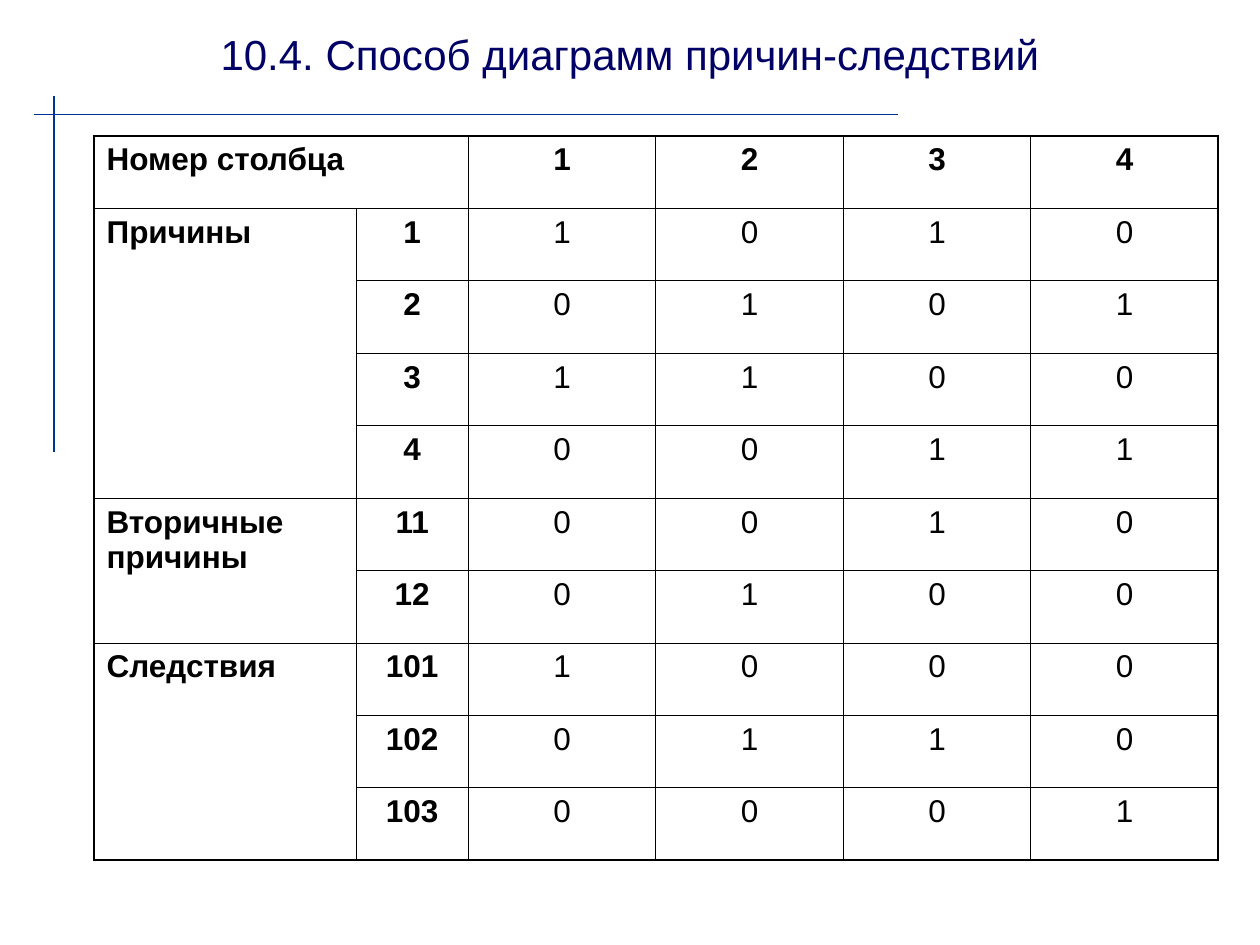
import pptx
import pptx.util
import pptx.dml.color
import pptx.enum.shapes
import pptx.enum.text
import pptx.oxml
import pptx.oxml.ns

Cm = pptx.util.Cm
Pt = pptx.util.Pt
RGBColor = pptx.dml.color.RGBColor
Align = pptx.enum.text.PP_ALIGN
Anchor = pptx.enum.text.MSO_ANCHOR

NAVY = RGBColor(0x00, 0x00, 0x66)
BLUE = RGBColor(0x00, 0x33, 0x99)
BLACK = RGBColor(0x00, 0x00, 0x00)

FONT = "Arial"
THIN, THICK = 0.45, 1.08
WIDTHS = [5.28, 2.26] + [3.78] * 4
ROW_HIGH = 1.46

HEAD = ("Номер столбца", ["1", "2", "3", "4"])
GROUPS = [
    ("Причины", [("1", "1010"), ("2", "0101"), ("3", "1100"), ("4", "0011")]),
    ("Вторичные причины", [("11", "0010"), ("12", "0100")]),
    ("Следствия", [("101", "1000"), ("102", "0110"), ("103", "0001")]),
]


def put_text(frame, text, size=18, color=BLACK, bold=False,
             align=Align.CENTER, before=0):
    par = frame.paragraphs[0]
    par.alignment = align
    par.space_before = Pt(before)
    run = par.add_run()
    run.text = text
    run.font.name = FONT
    run.font.size = Pt(size)
    run.font.bold = bold
    run.font.color.rgb = color


def add_title(slide, text):
    title = slide.shapes.title
    title.left, title.top = Cm(1.27), Cm(0.2)
    title.width, title.height = Cm(22.86), Cm(1.75)
    frame = title.text_frame
    frame.word_wrap = True
    frame.auto_size = pptx.enum.text.MSO_AUTO_SIZE.NONE
    frame.vertical_anchor = Anchor.MIDDLE
    put_text(frame, text, size=24, color=NAVY)


def add_line(slide, *ends):
    line = slide.shapes.add_connector(
        pptx.enum.shapes.MSO_CONNECTOR.STRAIGHT, *map(Cm, ends))
    line.line.color.rgb = BLUE
    line.line.width = Pt(1)
    props = line._element.spPr
    props.append(props.makeelement(pptx.oxml.ns.qn("a:effectLst"), {}))


def add_edge(cell, side, width):
    """Draw one border of a cell; side is L, R, T or B."""
    cell._tc.get_or_add_tcPr().append(pptx.oxml.parse_xml(
        f'<a:ln{side} {pptx.oxml.ns.nsdecls("a")} w="{int(Pt(width))}">'
        f'<a:solidFill><a:srgbClr val="{BLACK}"/></a:solidFill></a:ln{side}>'))


def style_grid(grid):
    """Clear all fills; rule thin lines inside and thick ones around."""
    last_row, last_col = len(grid.rows) - 1, len(grid.columns) - 1
    for row in range(last_row + 1):
        for col in range(last_col + 1):
            cell = grid.cell(row, col)
            end_row, end_col = row, col
            if cell.is_merge_origin:
                end_row += cell.span_height - 1
                end_col += cell.span_width - 1
            outer = {"L": col == 0, "R": end_col == last_col,
                     "T": row == 0, "B": end_row == last_row}
            for side, thick in outer.items():
                add_edge(cell, side, THICK if thick else THIN)
            cell.fill.background()
            cell.margin_left = cell.margin_right = Cm(0.25)
            cell.margin_top = cell.margin_bottom = Cm(0.13)


def fill_cell(cell, text, **form):
    put_text(cell.text_frame, text, before=4.5, **form)


def fill_row(grid, row, first, values, **form):
    for col, value in enumerate(values, first):
        fill_cell(grid.cell(row, col), value, **form)


def add_grid(slide):
    count = 1 + sum(len(rows) for _, rows in GROUPS)
    grid = slide.shapes.add_table(
        count, len(WIDTHS), Cm(1.9), Cm(2.74),
        Cm(sum(WIDTHS)), Cm(ROW_HIGH * count)).table
    grid.first_row = grid.horz_banding = False
    for col, width in zip(grid.columns, WIDTHS):
        col.width = Cm(width)
    for row in grid.rows:
        row.height = Cm(ROW_HIGH)

    label, heads = HEAD
    grid.cell(0, 0).merge(grid.cell(0, 1))
    fill_cell(grid.cell(0, 0), label, bold=True, align=Align.LEFT)
    fill_row(grid, 0, 2, heads, bold=True)

    top = 1
    for label, rows in GROUPS:
        grid.cell(top, 0).merge(grid.cell(top + len(rows) - 1, 0))
        fill_cell(grid.cell(top, 0), label, bold=True, align=Align.LEFT)
        for row, (number, bits) in enumerate(rows, top):
            fill_cell(grid.cell(row, 1), number, bold=True)
            fill_row(grid, row, 2, bits)
        top += len(rows)
    style_grid(grid)


def main():
    deck = pptx.Presentation()
    deck.slide_width, deck.slide_height = Cm(25.4), Cm(19.05)
    slide = deck.slides.add_slide(deck.slide_layouts[5])
    add_line(slide, 0.69, 2.31, 18.11, 2.31)
    add_line(slide, 1.09, 1.93, 1.09, 9.12)
    add_title(slide, "10.4. Способ диаграмм причин-следствий")
    add_grid(slide)
    deck.save("out.pptx")


if __name__ == "__main__":
    main()
